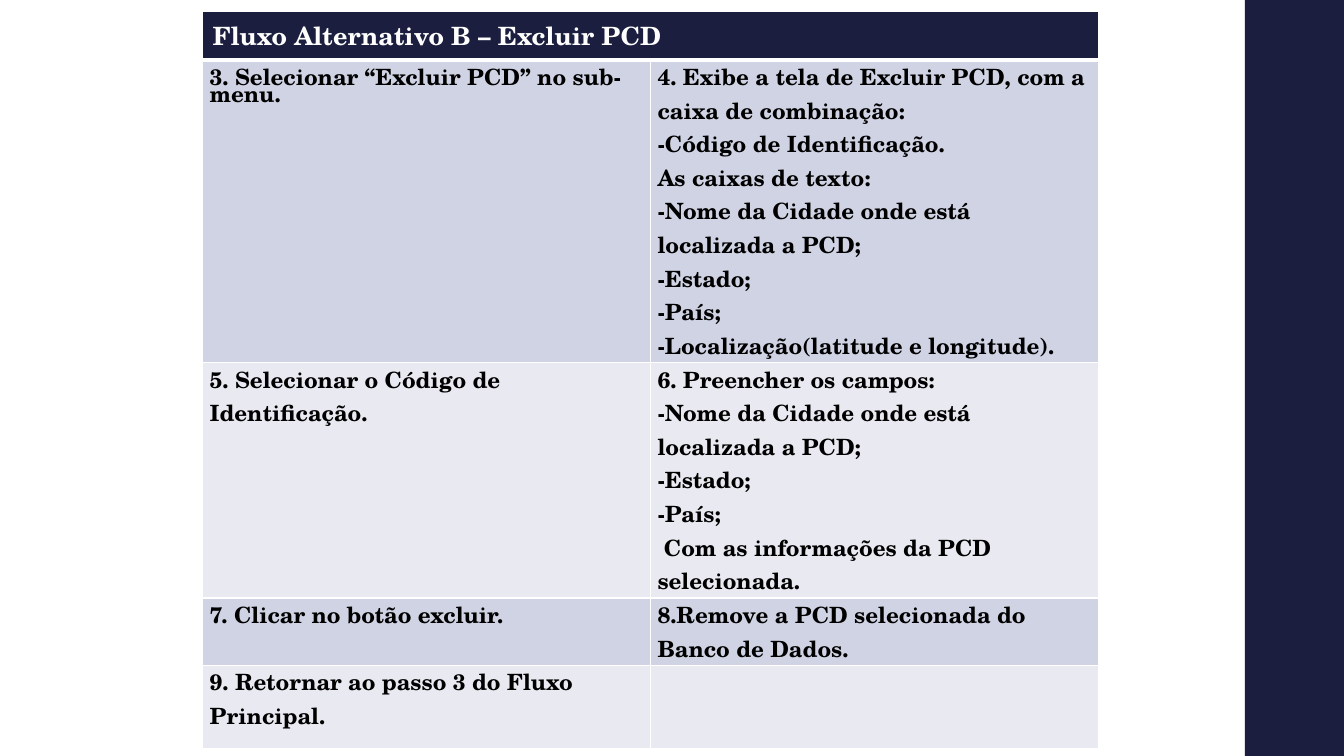
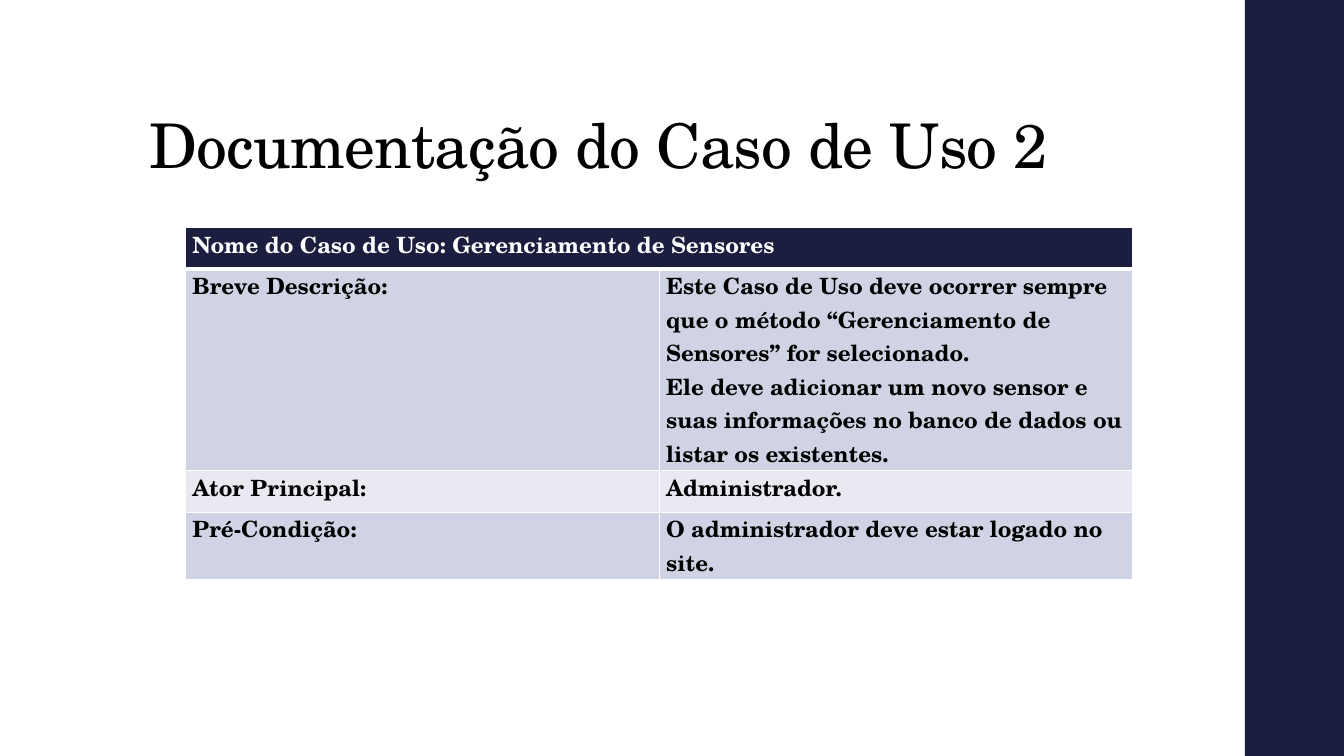
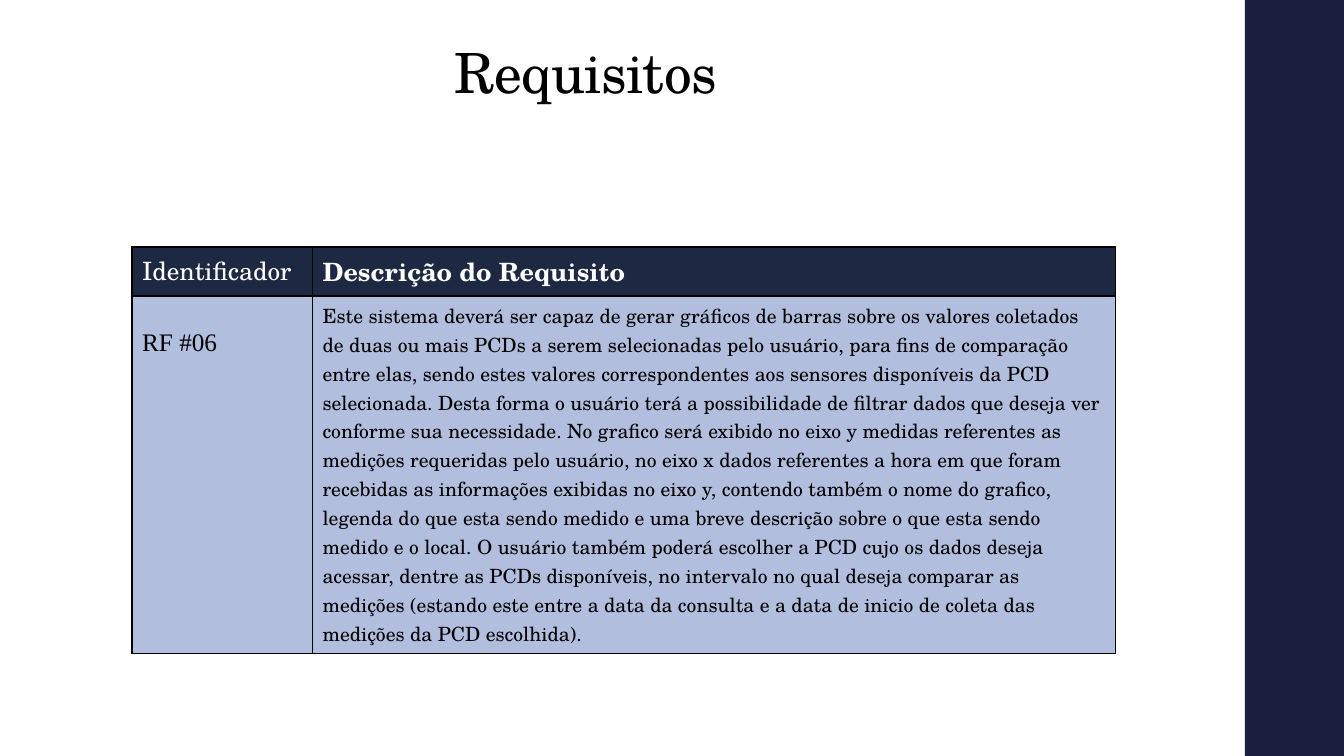
import pptx
import pptx.util
import pptx.dml.color
import pptx.enum.text
import pptx.enum.shapes
import lxml.etree

Pt = pptx.util.Pt
Inches = pptx.util.Inches
RGB = pptx.dml.color.RGBColor.from_string
TEXT = pptx.enum.text
NS = "{http://schemas.openxmlformats.org/drawingml/2006/main}"

# Theme: colours, fonts and type sizes
SERIF = "TeX Gyre Schola"
WHITE, BLACK, NAVY = "FFFFFF", "000000", "1B1E3E"
DARK, MIST, PALE, SKY = "1D2843", "D0D3E3", "E9EAF1", "B1BEDD"

STEP = {
    "font": {"size": Pt(16), "name": SERIF, "bold": True},
    "ink": BLACK,
    "para": {"line_spacing": Pt(24)},
    "cell": {"margin_left": Inches(0.07), "margin_right": Inches(0.07),
             "margin_top": 0, "margin_bottom": 0},
}
HEAD = {
    "font": {"size": Pt(18), "name": SERIF, "bold": True},
    "ink": WHITE, "para": {}, "cell": {},
}
THEME = {
    "step": STEP,
    "tight": {**STEP, "para": {"line_spacing": Pt(12)},
              "cell": {**STEP["cell"], "margin_top": Pt(12)}},
    "name": {**STEP, "ink": WHITE},
    "head": HEAD,
    "label": {**HEAD, "font": {**HEAD["font"], "bold": False}},
    "code": {"font": {"size": Pt(18), "name": "Times New Roman", "bold": False},
             "ink": BLACK, "para": {}, "cell": {"margin_top": Inches(0.33)}},
    "body": {"font": {"size": Pt(14), "name": SERIF, "bold": False},
             "ink": BLACK, "para": {}, "cell": {}},
}

# Grid: 40 columns by 30 rows over the slide
deck = pptx.Presentation()
deck.slide_width, deck.slide_height = Inches(13.33), Inches(7.5)
COL, ROW = deck.slide_width / 40, deck.slide_height / 30

# Content: the sentences of the requirement
NEED = [
    "Este sistema deverá ser capaz de gerar gráficos de barras sobre os "
    "valores coletados de duas ou mais PCDs a serem selecionadas pelo "
    "usuário, para fins de comparação entre elas, sendo estes valores "
    "correspondentes aos sensores disponíveis da PCD selecionada.",
    "Desta forma o usuário terá a possibilidade de filtrar dados que deseja "
    "ver conforme sua necessidade.",
    "No grafico será exibido no eixo y medidas referentes as medições "
    "requeridas pelo usuário, no eixo x dados referentes a hora em que foram "
    "recebidas as informações exibidas no eixo y, contendo também o nome do "
    "grafico, legenda do que esta sendo medido e uma breve descrição sobre o "
    "que esta sendo medido e o local.",
    "O usuário também poderá escolher a PCD cujo os dados deseja acessar, "
    "dentre as PCDs disponíveis, no intervalo no qual deseja comparar as "
    "medições (estando este entre a data da consulta e a data de inicio de "
    "coleta das medições da PCD escolhida).",
]

# Content: tables hold (text, style) cells, places are in grid units
PAGES = [
    {
        "at": (6.03, 0.44), "cols": [13.33, 13.33],
        "rows": [1.92, 12, 9.33, 2.67, 3.32],
        "fills": [NAVY, MIST, PALE, MIST, PALE], "edge": WHITE, "rule": 3,
        "cells": [
            [("Fluxo Alternativo B – Excluir PCD", "head")],
            [("3. Selecionar “Excluir PCD” no sub-menu.", "tight"),
             ("4. Exibe a tela de Excluir PCD, com a caixa de combinação:\n"
              "-Código de Identificação.\n"
              "As caixas de texto:\n"
              "-Nome da Cidade onde está localizada a PCD;\n"
              "-Estado;\n"
              "-País;\n"
              "-Localização(latitude e longitude).", "step")],
            [("5. Selecionar o Código de Identificação.", "step"),
             ("6. Preencher os campos:\n"
              "-Nome da Cidade onde está localizada a PCD;\n"
              "-Estado;\n"
              "-País;\n"
              " Com as informações da PCD selecionada.", "step")],
            [("7. Clicar no botão excluir.", "step"),
             ("8.Remove a PCD selecionada do Banco de Dados.", "step")],
            [("9. Retornar ao passo 3 do Fluxo Principal.", "step"),
             ("", "step")],
        ],
    },
    {
        "title": "Documentação do Caso de Uso 2", "size": 44,
        "box": (4.14, 1.6, 31.8, 5.8),
        "at": (5.52, 9.04), "cols": [14.1, 14.1], "rows": [1.64, 8, 1.64, 2.67],
        "fills": [NAVY, MIST, PALE, MIST], "edge": WHITE, "rule": 3,
        "cells": [
            [("Nome do Caso de Uso: Gerenciamento de Sensores", "name")],
            [("Breve Descrição:", "step"),
             ("Este Caso de Uso deve ocorrer sempre que o método "
              "“Gerenciamento de Sensores” for selecionado.\n"
              "Ele deve adicionar um novo sensor e suas informações no banco "
              "de dados ou listar os existentes.", "step")],
            [("Ator Principal:", "step"), ("Administrador.", "step")],
            [("Pré-Condição:", "step"),
             ("O administrador deve estar logado no site.", "step")],
        ],
    },
    {
        "title": "Requisitos", "size": 39.6,
        "box": (13.23, 0.92, 8.76, 3.48),
        "at": (3.93, 9.8), "cols": [5.37, 23.91], "rows": [1.92, 14.2],
        "fills": [DARK, SKY], "edge": BLACK, "rule": 1,
        "cells": [
            [("Identificador", "label"), ("Descrição do Requisito", "head")],
            [("RF #06", "code"), (" ".join(NEED), "body")],
        ],
    },
]


def place(x, y, wide, high):
    return int(x * COL), int(y * ROW), int(wide * COL), int(high * ROW)


def frame(cell, tint, top, base):
    """Draw the four borders of a cell, ahead of its fill."""
    props = cell._tc.get_or_add_tcPr()
    sides = {"lnL": 1, "lnR": 1, "lnT": top, "lnB": base}
    for i, (side, wide) in enumerate(sides.items()):
        line = lxml.etree.Element(NS + side, w=str(Pt(wide)))
        fill = lxml.etree.SubElement(line, NS + "solidFill")
        lxml.etree.SubElement(fill, NS + "srgbClr", val=tint)
        props.insert(i, line)


for num, page in enumerate(PAGES):
    titled = "title" in page
    slide = deck.slides.add_slide(deck.slide_layouts[5 if titled else 6])

    # Side band, moved to the master so that all slides share it
    if num == 0:
        band = slide.shapes.add_shape(
            pptx.enum.shapes.MSO_SHAPE.RECTANGLE, *place(37.05, 0, 2.95, 30))
        band.shadow.inherit = False
        band.fill.solid()
        band.fill.fore_color.rgb = RGB(NAVY)
        band.line.fill.background()
        deck.slide_master.shapes.element.append(band.element)

    # Title
    if titled:
        title = slide.shapes.title
        title.left, title.top, title.width, title.height = place(*page["box"])
        block = title.text_frame
        block.text = page["title"]
        block.word_wrap = True
        block.auto_size = TEXT.MSO_AUTO_SIZE.NONE
        block.vertical_anchor = TEXT.MSO_ANCHOR.BOTTOM
        para = block.paragraphs[0]
        para.alignment = TEXT.PP_ALIGN.LEFT
        para.line_spacing = 0.9
        run = para.runs[0]
        run.font.name, run.font.size = SERIF, Pt(page["size"])
        run.font.color.rgb = RGB(BLACK)
        run.font._element.set("spc", "-50")

    # Table grid
    cols, rows = page["cols"], page["rows"]
    grid = slide.shapes.add_table(
        len(rows), len(cols), *place(*page["at"], sum(cols), sum(rows))).table
    grid.horz_banding = False
    for part, wide in zip(grid.columns, cols):
        part.width = int(wide * COL)
    for part, high in zip(grid.rows, rows):
        part.height = int(high * ROW)
    if len(page["cells"][0]) == 1:
        grid.cell(0, 0).merge(grid.cell(0, 1))

    # Table cells
    for r, line in enumerate(page["cells"]):
        for c in range(len(cols)):
            cell = grid.cell(r, c)
            cell.fill.solid()
            cell.fill.fore_color.rgb = RGB(page["fills"][r])
            frame(cell, page["edge"], page["rule"] if r == 1 else 1,
                  page["rule"] if r == 0 else 1)
        for c, (text, kind) in enumerate(line):
            cell, look = grid.cell(r, c), THEME[kind]
            cell.text = text
            for key, value in look["cell"].items():
                setattr(cell, key, value)
            for para in cell.text_frame.paragraphs:
                for key, value in look["para"].items():
                    setattr(para, key, value)
                for run in para.runs:
                    for key, value in look["font"].items():
                        setattr(run.font, key, value)
                    run.font.color.rgb = RGB(look["ink"])

deck.save("out.pptx")
